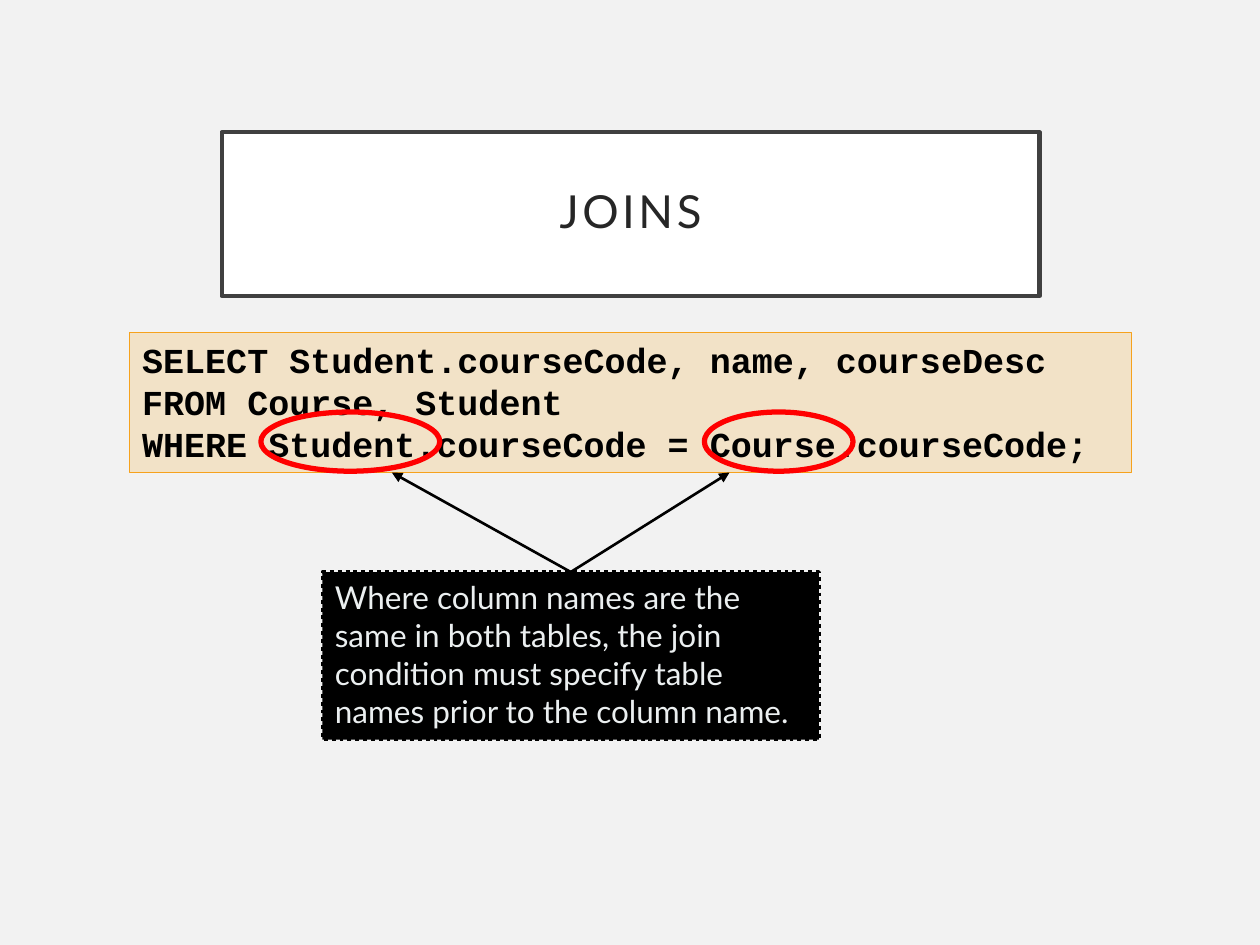
"""Builds a slide on naming tables in the condition of an SQL join."""
from lxml import etree
from pptx import Presentation, util as u
from pptx.dml.color import RGBColor
from pptx.enum import dml, shapes, text
from pptx.oxml.ns import qn

HUE = dict(back="F2F2F2", white="FFFFFF", frame="404040", title="262626",
           amber="F6A21D", red="FF0000", black="000000", pale="EBEFF0")
TITLE = ["JOINS"]
QUERY = ["SELECT Student.courseCode, name, courseDesc",
         "FROM Course, Student",
         "WHERE Student.courseCode = Course.courseCode;"]
NOTE = ["Where column names are the same in both tables, the join condition "
        "must specify table names prior to the column name."]
RINGS = [(2.07, 1.42), (5.59, 1.18)]
TIPS = [3.11, 5.79]
QUERY_BOX = (1.03, 2.64, 7.95, 1.11)
TITLE_BOX = (1.76, 1.05, 6.49, 1.3)
NOTE_BOX = (2.56, 4.54, 3.94, 1.33)
RING_TOP, RING_HIGH = 3.27, 0.47


def rgb(name):
    return RGBColor.from_string(HUE[name])


def inch(*nums):
    return [u.Inches(n) for n in nums]


def draw(kind, box, line, width, fill=None):
    shape = slide.shapes.add_shape(kind, *inch(*box))
    shape.shadow.inherit = False
    shape.line.color.rgb = rgb(line)
    shape.line.width = u.Pt(width)
    if fill:
        shape.fill.solid()
        shape.fill.fore_color.rgb = rgb(fill)
    else:
        shape.fill.background()
    return shape


def write(shape, lines, font, size, color, bold=False, align="LEFT",
          anchor="TOP", space=None, track=None):
    frame = shape.text_frame
    frame.word_wrap = True
    frame.vertical_anchor = text.MSO_ANCHOR[anchor]
    for i, words in enumerate(lines):
        para = frame.add_paragraph() if i else frame.paragraphs[0]
        para.alignment = text.PP_ALIGN[align]
        para.line_spacing = space
        run = para.add_run()
        run.text = words
        run.font.name, run.font.size = font, u.Pt(size)
        run.font.bold, run.font.color.rgb = bold, rgb(color)
        if track:
            run.font._element.set("spc", str(track * 100))


def arrow(start, end):
    line = slide.shapes.add_connector(
        shapes.MSO_CONNECTOR.STRAIGHT, *inch(*start, *end))
    line.line.color.rgb = rgb("black")
    line.line.width = u.Pt(1.5)
    etree.SubElement(line.line._get_or_add_ln(), qn("a:tailEnd"), type="triangle")
    etree.SubElement(line._element.spPr, qn("a:effectLst"))


deck = Presentation()
deck.slide_width, deck.slide_height = inch(10, 7.5)
slide = deck.slides.add_slide(deck.slide_layouts[6])
slide.background.fill.solid()
slide.background.fill.fore_color.rgb = rgb("back")
RECT, OVAL = shapes.MSO_SHAPE.RECTANGLE, shapes.MSO_SHAPE.OVAL

query = draw(RECT, QUERY_BOX, "amber", 0.75, "amber")
tint = query._element.spPr.find(qn("a:solidFill"))[0]
etree.SubElement(tint, qn("a:alpha"), val="20000")
write(query, QUERY, "Courier New", 20, "black", bold=True)

for left, wide in RINGS:
    draw(OVAL, (left, RING_TOP, wide, RING_HIGH), "red", 3)

title = draw(RECT, TITLE_BOX, "frame", 2.5, "white")
write(title, TITLE, "Lato", 26, "title", align="CENTER", anchor="MIDDLE",
      space=0.9, track=2)

note = draw(RECT, NOTE_BOX, "black", 2.25, "black")
note.line.dash_style = dml.MSO_LINE.ROUND_DOT
write(note, NOTE, "Lato", 18, "pale")

x, y, wide, _ = NOTE_BOX
for tip in TIPS:
    arrow((x + wide / 2, y), (tip, QUERY_BOX[1] + QUERY_BOX[3]))

deck.save("out.pptx")
